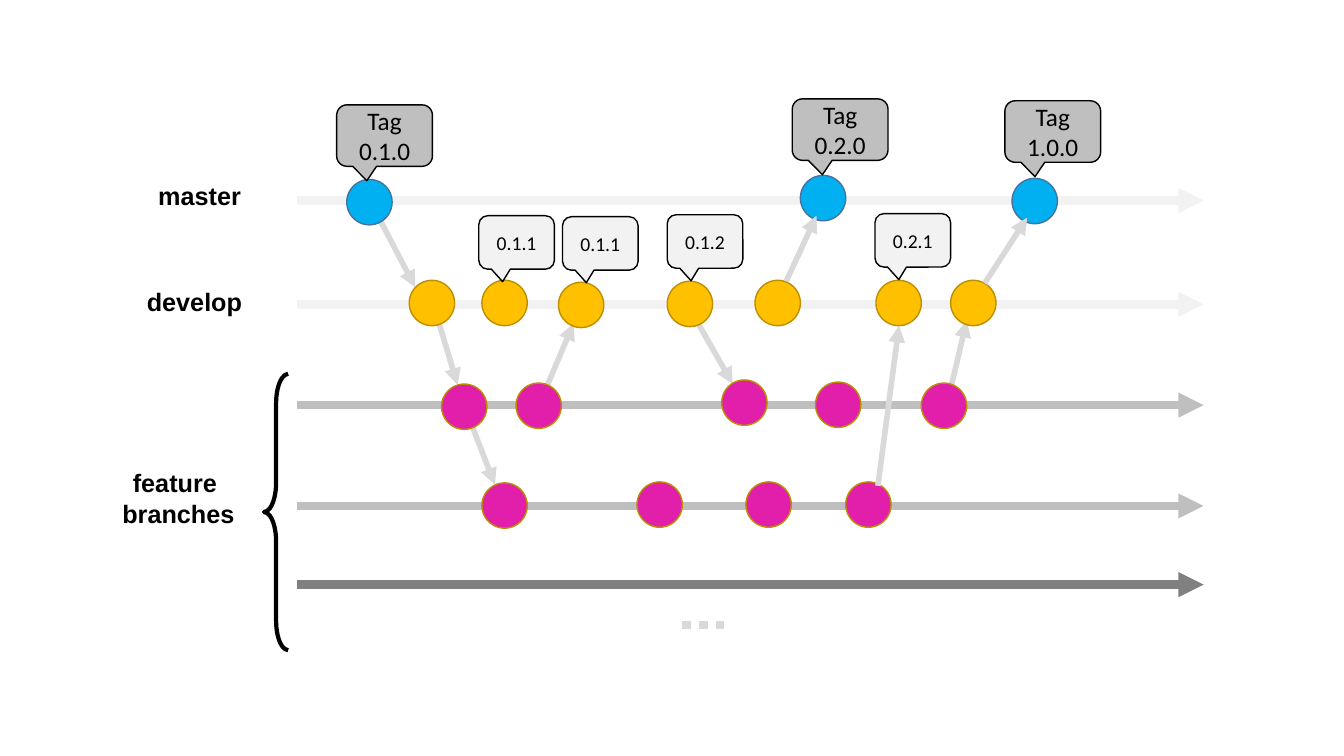
from lxml import etree
from pptx import Presentation
from pptx.dml.color import RGBColor
from pptx.enum.dml import MSO_LINE
from pptx.enum.shapes import MSO_CONNECTOR, MSO_SHAPE
from pptx.enum.text import MSO_ANCHOR, PP_ALIGN
from pptx.oxml.ns import qn
from pptx.util import Pt

STRAIGHT = MSO_CONNECTOR.STRAIGHT
OVAL, BRACE = MSO_SHAPE.OVAL, MSO_SHAPE.LEFT_BRACE
CALLOUT = MSO_SHAPE.ROUNDED_RECTANGULAR_CALLOUT
DOTTED = MSO_LINE.ROUND_DOT
CENTER = PP_ALIGN.CENTER
TOP, MIDDLE = MSO_ANCHOR.TOP, MSO_ANCHOR.MIDDLE

BLACK = RGBColor(0x00, 0x00, 0x00)
DARK_GRAY = RGBColor(0x80, 0x80, 0x80)
GRAY = RGBColor(0xBF, 0xBF, 0xBF)
LIGHT_GRAY = RGBColor(0xD9, 0xD9, 0xD9)
PALE_GRAY = RGBColor(0xF2, 0xF2, 0xF2)
BLUE = RGBColor(0x00, 0xB0, 0xF0)
BLUE_EDGE = RGBColor(0x43, 0x73, 0x9E)
AMBER = RGBColor(0xFF, 0xC0, 0x00)
AMBER_EDGE = RGBColor(0xBD, 0x8E, 0x00)
PINK = RGBColor(0xE1, 0x1F, 0xAA)

COMMIT_SIZE = 32.4
LANE_START, LANE_END = 212.4, 859.7
CALLOUT_ADJUSTMENTS = (-0.185, 0.734, 0.167)

# Lane height and colour
LANES = [(143.3, PALE_GRAY), (217.4, PALE_GRAY), (289.4, GRAY),
         (361.4, GRAY), (417.6, DARK_GRAY)]

# Fill, edge, and the left and top of each commit
COMMITS = [
    (BLUE, BLUE_EDGE, [(247.7, 128.2), (571.7, 125.3), (722.9, 127.4)]),
    (AMBER, AMBER_EDGE, [(292.3, 200.2), (344.2, 200.2), (398.9, 201.6),
                         (476.6, 200.9), (539.3, 200.2), (625.7, 200.2),
                         (679, 200.2)]),
    (PINK, AMBER_EDGE, [(315.4, 274.3), (368.6, 273.6), (515.5, 271.4),
                        (582.5, 272.9), (658.1, 273.6), (344.2, 344.9),
                        (455, 344.2), (532.8, 344.2), (604.1, 344.2)]),
]

# Start and end of the arrows behind and in front of the commits
BACK_ARROWS = [
    (497.5, 229, 523.4, 274.3), (389.5, 278.6, 409.7, 231.1),
    (679, 277.9, 690.5, 229), (332.6, 292.3, 353.5, 346.3),
    (308.9, 215.3, 326.9, 275), (265.7, 146.2, 296.6, 205.2),
]
FRONT_ARROWS = [
    (627.1, 347, 642.2, 232.6), (703.4, 202.3, 733.7, 155.5),
    (561.6, 200.9, 583.2, 154.1),
]

LABELS = [("feature \nbranches", 79.2, 330.5, 51.1),
          ("develop", 90.7, 200.9, 28.8),
          ("master", 94.3, 125.3, 28.8)]
TAGS = [("Tag\n0.1.0", 240.5, 74.9), ("Tag\n0.2.0", 565.9, 70.6),
        ("Tag\n1.0.0", 717.8, 72)]
VERSIONS = [("0.1.1", 342, 154.1), ("0.1.1", 401.8, 154.8),
            ("0.1.2", 476.6, 153.4), ("0.2.1", 625, 152.6)]


def write_text(shape, text, *, font="Calibri", size=18, bold=False,
               anchor=MIDDLE, wrap=True):
    """Write centred black text, one line break for each newline."""
    frame = shape.text_frame
    frame.word_wrap = wrap
    frame.vertical_anchor = anchor
    para = frame.paragraphs[0]
    para.alignment = CENTER
    for index, line in enumerate(text.split("\n")):
        if index:
            para.add_line_break()
        span = para.add_run()
        span.text = line
        span.font.name = font
        span.font.size = Pt(size)
        span.font.bold = bold
        span.font.color.rgb = BLACK


def add_line(page, start_x, start_y, end_x, end_y, color, width, arrow=True):
    """Draw a straight line, with an arrowhead or as dots."""
    line = page.shapes.add_connector(
        STRAIGHT, Pt(start_x), Pt(start_y), Pt(end_x), Pt(end_y))
    line.line.color.rgb = color
    line.line.width = Pt(width)
    if arrow:
        outline = line.line._get_or_add_ln()
        etree.SubElement(outline, qn("a:tailEnd"), type="triangle")
    else:
        line.line.dash_style = DOTTED
    etree.SubElement(line._element.spPr, qn("a:effectLst"))


def add_preset(page, kind, left, top, width, height, *, edge, fill=None,
               edge_width=1, adjustments=()):
    """Draw a preset shape without a shadow and return it."""
    shape = page.shapes.add_shape(
        kind, Pt(left), Pt(top), Pt(width), Pt(height))
    shape.shadow.inherit = False
    if fill is None:
        shape.fill.background()
    else:
        shape.fill.solid()
        shape.fill.fore_color.rgb = fill
    shape.line.color.rgb = edge
    shape.line.width = Pt(edge_width)
    for index, value in enumerate(adjustments):
        shape.adjustments[index] = value
    return shape


def add_callouts(page, callouts, width, height, fill, size):
    """Draw speech bubbles of one size that name the commits below."""
    for text, left, top in callouts:
        bubble = add_preset(page, CALLOUT, left, top, width, height,
                            edge=BLACK, fill=fill,
                            adjustments=CALLOUT_ADJUSTMENTS)
        write_text(bubble, text, size=size)


def add_label(page, text, left, top, height):
    """Name a branch at the left of its lane."""
    box = page.shapes.add_textbox(Pt(left), Pt(top), Pt(96.5), Pt(height))
    write_text(box, text, font="Arial", bold=True, anchor=TOP, wrap=False)


def main():
    """Build the branching diagram."""
    deck = Presentation()
    deck.slide_width, deck.slide_height = Pt(960), Pt(540)
    page = deck.slides.add_slide(deck.slide_layouts[6])

    for ends in BACK_ARROWS:
        add_line(page, *ends, LIGHT_GRAY, 4)
    for height, color in LANES:
        add_line(page, LANE_START, height, LANE_END, height, color, 6)
    for fill, edge, places in COMMITS:
        for left, top in places:
            add_preset(page, OVAL, left, top, COMMIT_SIZE, COMMIT_SIZE,
                       edge=edge, fill=fill)
    for ends in FRONT_ARROWS:
        add_line(page, *ends, LIGHT_GRAY, 4)
    add_line(page, 487.4, 446.4, 519.1, 446.4, LIGHT_GRAY, 6, arrow=False)

    add_preset(page, BRACE, 188.6, 267.1, 17.3, 197.3, edge=BLACK,
               edge_width=3, adjustments=(1.214, 0.5))
    for label in LABELS:
        add_label(page, *label)
    add_callouts(page, TAGS, 68.4, 43.9, GRAY, 18)
    add_callouts(page, VERSIONS, 54, 38.2, PALE_GRAY, 14)
    deck.save("out.pptx")


main()
